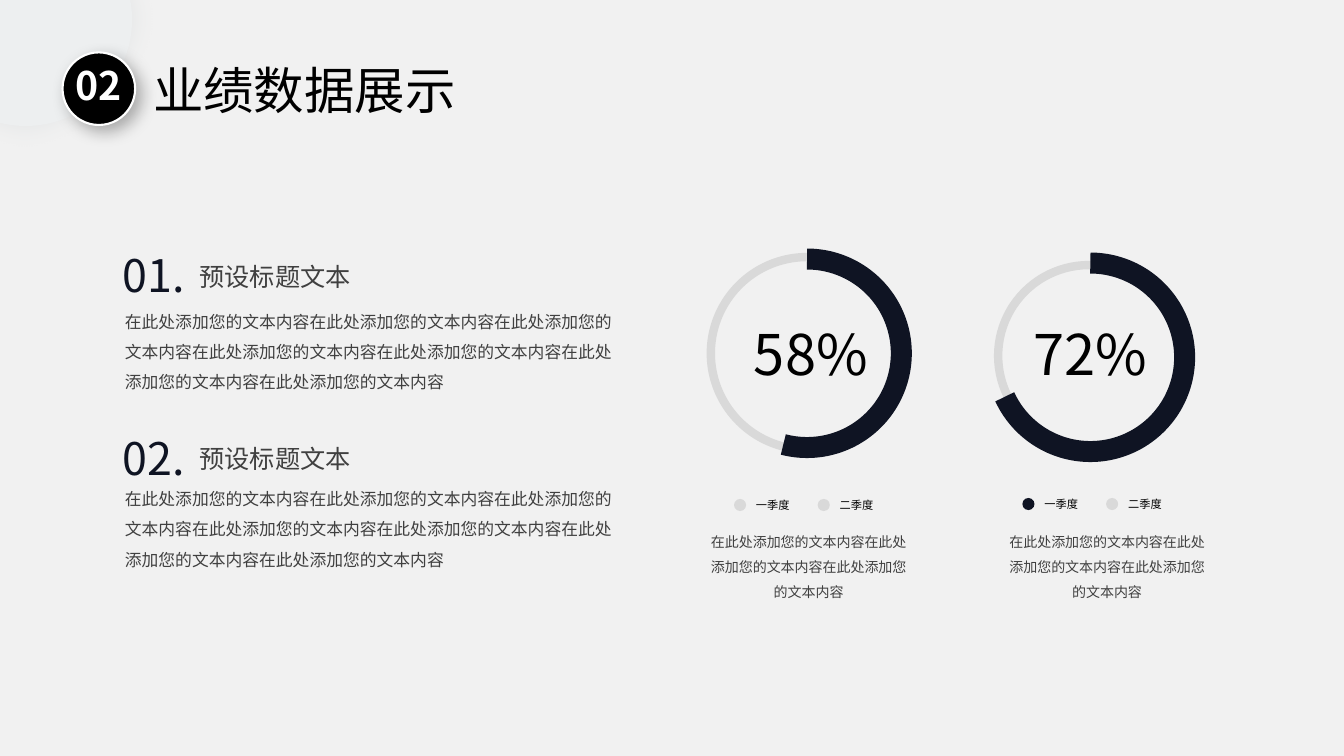
from dataclasses import dataclass

from lxml.etree import SubElement
from pptx import Presentation
from pptx.dml.color import RGBColor
from pptx.enum.shapes import MSO_SHAPE
from pptx.enum.text import MSO_AUTO_SIZE, PP_ALIGN
from pptx.oxml.ns import qn
from pptx.shapes.autoshape import Shape
from pptx.util import Inches, Pt

FONT = "Noto Sans CJK SC"
NAVY, GREY, TEXT, BLACK, WHITE = "0F1423", "D9D9D9", "404040", "000000", "FFFFFF"
PHRASE = "在此处添加您的文本内容"


@dataclass
class Point:
    label: str
    top: float
    body_top: float


@dataclass
class Gauge:
    value: str
    ring: tuple[float, float, float]
    arc: tuple[float, float]
    end: float  # degrees clockwise from three o'clock
    value_left: float
    dot: tuple[float, float]
    dot_fill: str
    body_left: float


POINTS = [Point("01.", 2.41, 2.94), Point("02.", 4.22, 4.7)]
GAUGES = [
    Gauge("58%", (7.05, 2.55, 1.91), (7.07, 2.57), 104.59, 7.38, (7.28, 4.95), GREY, 6.92),
    Gauge("72%", (9.9, 2.63, 1.8), (9.88, 2.61), 155.2, 10.15, (10.14, 4.94), NAVY, 9.88),
]


def rgb(code: str) -> RGBColor:
    return RGBColor.from_string(code)


def draw(kind: MSO_SHAPE, left: float, top: float, size: float,
         fill: str | None = None, line: str | None = None, width: float = 0) -> Shape:
    shape = slide.shapes.add_shape(kind, Inches(left), Inches(top), Inches(size), Inches(size))
    shape.shadow.inherit = False
    if fill:
        shape.fill.solid()
        shape.fill.fore_color.rgb = rgb(fill)
    else:
        shape.fill.background()
    if line:
        shape.line.color.rgb = rgb(line)
        shape.line.width = Pt(width)
    else:
        shape.line.fill.background()
    return shape


def write(text: str, left: float, top: float, width: float, height: float, size: float,
          color: str = TEXT, wrap: bool = True, align: PP_ALIGN = PP_ALIGN.LEFT,
          space: float = 1, bold: bool = False) -> None:
    box = slide.shapes.add_textbox(Inches(left), Inches(top), Inches(width), Inches(height))
    frame = box.text_frame
    frame.word_wrap = wrap
    frame.auto_size = MSO_AUTO_SIZE.SHAPE_TO_FIT_TEXT
    para = frame.paragraphs[0]
    para.text = text
    para.alignment = align
    para.line_spacing = space
    font = para.font
    font.size, font.bold, font.name = Pt(size), bold, FONT
    font.color.rgb = rgb(color)
    SubElement(para._p.pPr.find(qn("a:defRPr")), qn("a:ea"), typeface=FONT)


def fade(parent, percent: int) -> None:
    """Set the opacity of the colour held by a fill or an effect."""
    SubElement(parent.find(qn("a:srgbClr")), qn("a:alpha"), val=str(percent * 1000))


def add_corner() -> None:
    glow = draw(MSO_SHAPE.OVAL, -1.09, -1.15, 2.68, "AAB4BD")
    props = glow._element.spPr
    fade(props.find(qn("a:solidFill")), 20)
    SubElement(props.find(qn("a:effectLst")), qn("a:softEdge"), rad=str(Inches(0.25)))
    draw(MSO_SHAPE.OVAL, -0.8, -0.86, 2.11, "EDEFF0")


def add_title() -> None:
    badge = draw(MSO_SHAPE.OVAL, 0.62, 0.52, 0.72, BLACK, WHITE, 1.5)
    shadow = SubElement(badge._element.spPr.find(qn("a:effectLst")), qn("a:outerShdw"),
                        blurRad=str(Pt(12)), dist=str(Pt(6)), dir=str(45 * 60000),
                        algn="tl", rotWithShape="0")
    SubElement(shadow, qn("a:srgbClr"), val=BLACK)
    fade(shadow, 30)
    write("业绩数据展示", 1.42, 0.54, 3.53, 0.71, 36, BLACK, align=PP_ALIGN.JUSTIFY)
    write("02", 0.65, 0.65, 0.66, 0.48, 28, WHITE, False, PP_ALIGN.CENTER, 0.8, True)


def add_point(point: Point) -> None:
    write(point.label, 1.12, point.top, 0.84, 0.64, 32, NAVY, False)
    write("预设标题文本", 1.88, point.top + 0.13, 2.64, 0.4, 18)
    write(PHRASE * 7, 1.14, point.body_top, 5.18, 1.01, 12, space=1.5)


def add_gauge(gauge: Gauge) -> None:
    draw(MSO_SHAPE.OVAL, *gauge.ring, line=GREY, width=6)
    arc = draw(MSO_SHAPE.ARC, *gauge.arc, 1.87, line=NAVY, width=15)
    for i, angle in enumerate((270, gauge.end)):
        arc.adjustments[i] = angle * 0.6  # 60000 units a degree, scaled by 100000
    write(gauge.value, gauge.value_left, 3.12, 1.34, 0.77, 40, BLACK, False)
    left, top = gauge.dot
    for i, (name, fill) in enumerate((("一季度", gauge.dot_fill), ("二季度", GREY))):
        x = left + i * 0.83
        draw(MSO_SHAPE.OVAL, x, top, 0.12, fill)
        write(name, x + 0.12, top - 0.06, 0.57, 0.23, 8, BLACK, False)
    write(PHRASE * 3, gauge.body_left, 5.16, 2.2, 0.86, 10, align=PP_ALIGN.CENTER, space=1.5)


deck = Presentation()
deck.slide_width, deck.slide_height = Inches(13.33), Inches(7.5)
slide = deck.slides.add_slide(deck.slide_layouts[6])
slide.background.fill.solid()
slide.background.fill.fore_color.rgb = rgb("F1F1F1")

add_corner()
add_title()
for point in POINTS:
    add_point(point)
for gauge in GAUGES:
    add_gauge(gauge)

deck.save("out.pptx")
